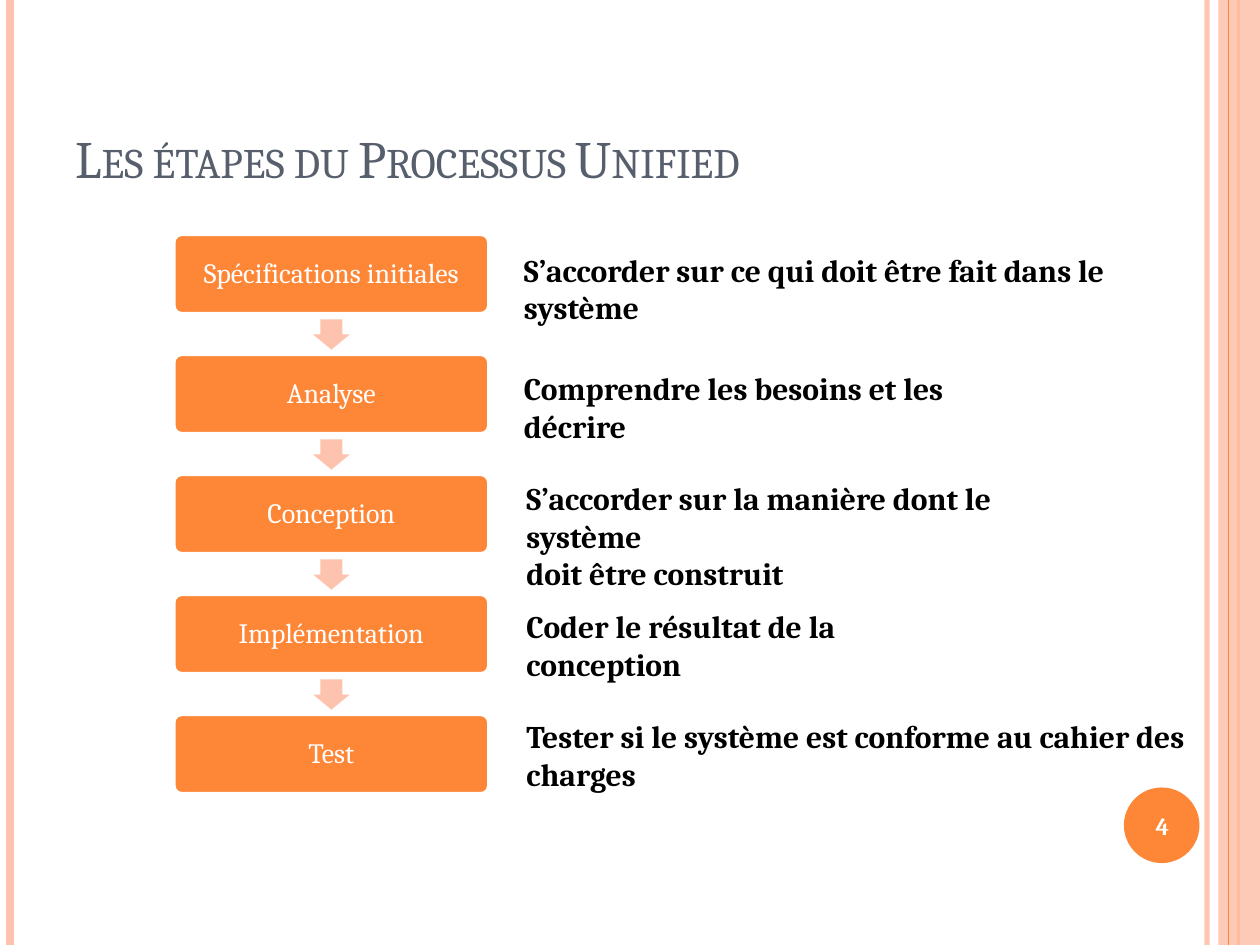
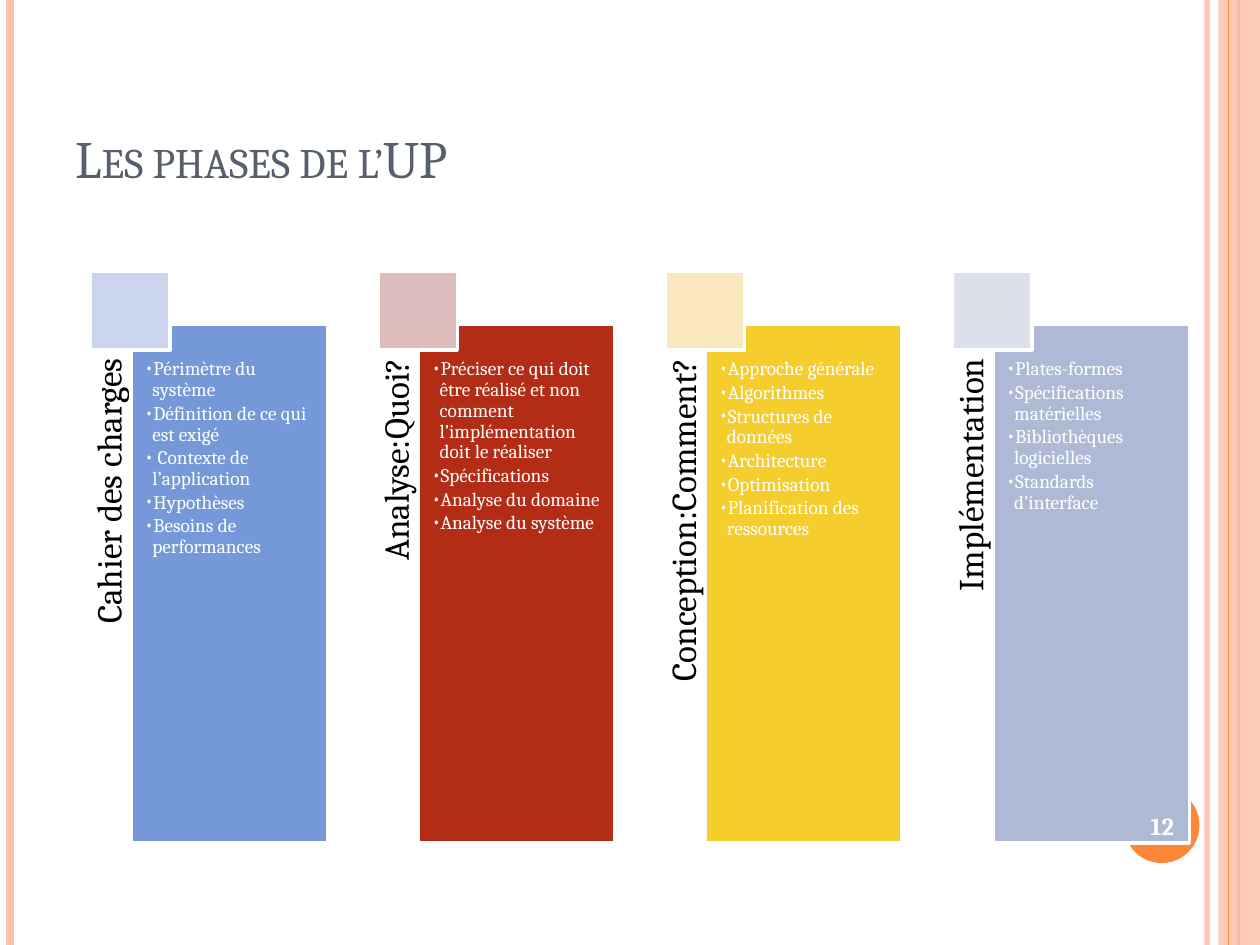
import lxml.etree
import pptx
import pptx.dml.color
import pptx.enum.shapes
import pptx.enum.text
import pptx.oxml.ns
import pptx.util

Inches = pptx.util.Inches
Pt = pptx.util.Pt
rgb = pptx.dml.color.RGBColor.from_string
qn = pptx.oxml.ns.qn
Shape = pptx.enum.shapes.MSO_SHAPE
Anchor = pptx.enum.text.MSO_ANCHOR
Align = pptx.enum.text.PP_ALIGN

FONT = "Cambria"
ORANGE = "FE8637"
PEACH = "FEC3AE"
SLATE = "575F6D"
WHITE = "FFFFFF"
BLACK = "000000"

title_format = {
    "frame": {"vertical_anchor": Anchor.BOTTOM},
    "font": {"size": Pt(30)},
}
number_format = {
    "frame": {"vertical_anchor": Anchor.MIDDLE},
    "paragraph": {"alignment": Align.CENTER},
    "font": {"size": Pt(14), "bold": True},
}
step_format = {
    "frame": {"vertical_anchor": Anchor.MIDDLE},
    "paragraph": {"alignment": Align.CENTER, "line_spacing": 0.9},
    "font": {"size": Pt(16)},
}
goal_format = {"font": {"size": Pt(18), "bold": True}}
phase_format = {
    "frame": {"margin_left": 0, "margin_top": 0,
              "margin_right": Inches(0.28), "margin_bottom": 0},
    "paragraph": {"alignment": Align.RIGHT, "line_spacing": 0.9},
    "font": {"size": Pt(20)},
}
topic_format = {
    "frame": {"vertical_anchor": Anchor.TOP, "margin_left": Inches(0.11),
              "margin_top": Inches(0.28), "margin_right": Inches(0.11),
              "margin_bottom": Inches(0.11)},
    "paragraph": {"alignment": Align.LEFT, "line_spacing": 0.9,
                  "space_after": Pt(1.65), "level": 1},
    "font": {"size": Pt(11)},
}


def add_block(slide, geometry, box, fill, outline=None):
    block = slide.shapes.add_shape(geometry, *map(Inches, box))
    block.shadow.inherit = False
    block.fill.solid()
    block.fill.fore_color.rgb = rgb(fill)
    if outline:
        block.line.color.rgb = rgb(outline)
        block.line.width = Pt(2)
    else:
        block.line.fill.background()
    return block


def write(holder, lines, color, formats):
    frame = holder.text_frame
    frame.word_wrap = True
    for key, value in formats.get("frame", {}).items():
        setattr(frame, key, value)
    for index, line in enumerate(lines):
        paragraph = frame.add_paragraph() if index else frame.paragraphs[0]
        run = paragraph.add_run()
        run.text = line
        run.font.name = FONT
        run.font.color.rgb = rgb(color)
        for key, value in formats.get("paragraph", {}).items():
            setattr(paragraph, key, value)
        for key, value in formats["font"].items():
            setattr(run.font, key, value)
    return frame


deck = pptx.Presentation()
deck.slide_width = Inches(10)
deck.slide_height = Inches(7.5)

slides = []
for heading in ["Les étapes du Processus Unified", "Les phases de l’UP"]:
    slide = deck.slides.add_slide(deck.slide_layouts[6])
    slides.append(slide)

    rails = []
    for x, color, width in [(9.58, PEACH, 3), (0.08, PEACH, 4.5),
                            (9.83, ORANGE, 1.5), (9.75, ORANGE, 0.75)]:
        rail = slide.shapes.add_connector(
            pptx.enum.shapes.MSO_CONNECTOR.STRAIGHT,
            Inches(x), 0, Inches(x), deck.slide_height)
        rail.line.color.rgb = rgb(color)
        rail.line.width = Pt(width)
        lxml.etree.SubElement(rail._element.spPr, qn("a:effectLst"))
        rails.append(rail)

    band = add_block(slide, Shape.RECTANGLE, (9.67, 0, 0.33, 7.5), PEACH)
    rails[-1]._element.addprevious(band._element)
    for part, opacity in [(rails[0], "93000"), (band, "87000")]:
        part_color = part._element.spPr.find(".//" + qn("a:srgbClr"))
        lxml.etree.SubElement(part_color, qn("a:alpha"), val=opacity)
    add_block(slide, Shape.OVAL, (8.92, 6.25, 0.6, 0.6), ORANGE)

    title = slide.shapes.add_textbox(*map(Inches, (0.5, 0.3, 8.17, 1.25)))
    title_text = write(title, [heading], SLATE, title_format)
    title_text.paragraphs[0].runs[0]._r.get_or_add_rPr().set("cap", "small")

steps_slide, phases_slide = slides

steps = ["Spécifications initiales", "Analyse", "Conception",
         "Implémentation", "Test"]
step_pitch = 3.81 / 4
for index, step in enumerate(steps):
    top = 1.86 + index * step_pitch
    step_block = add_block(steps_slide, Shape.ROUNDED_RECTANGLE,
                           (1.38, top, 2.5, 0.63), ORANGE, WHITE)
    step_block.adjustments[0] = 0.1
    write(step_block, [step], WHITE, step_format)
    if index < len(steps) - 1:
        arrow = add_block(steps_slide, Shape.RIGHT_ARROW,
                          (2.51, top + 0.65, 0.24, 0.29), PEACH)
        arrow.rotation = 90
        arrow.adjustments[0] = 0.6

goals = [
    ((4.06, 1.94, 5.41, 0.4),
     ["S’accorder sur ce qui doit être fait dans le système"]),
    ((4.06, 2.88, 4.1, 0.4), ["Comprendre les besoins et les décrire"]),
    ((4.08, 3.75, 4.53, 0.71),
     ["S’accorder sur la manière dont le système", "doit être construit"]),
    ((4.08, 4.77, 3.71, 0.4), ["Coder le résultat de la conception"]),
    ((4.08, 5.64, 5.8, 0.71),
     ["Tester si le système est conforme au cahier des charges"]),
]
for box, goal in goals:
    write(steps_slide.shapes.add_textbox(*map(Inches, box)), goal, BLACK,
          goal_format)

phases = [
    ("Cahier des charges", "7598D9", "CAD4ED",
     ["Périmètre du système", "Définition de ce qui est exigé",
      " Contexte de l’application", "Hypothèses",
      "Besoins de performances"]),
    ("Analyse:Quoi?", "B32C16", "DDBEBD",
     ["Préciser ce qui doit être réalisé et non comment "
      "l’implémentation doit le réaliser",
      "Spécifications", "Analyse du domaine", "Analyse du système"]),
    ("Conception:Comment?", "F5CD2D", "FAE8BE",
     ["Approche générale", "Algorithmes", "Structures de données",
      "Architecture", "Optimisation", "Planification des ressources"]),
    ("Implémentation", "AEBAD5", "DBE0EB",
     ["Plates-formes", "Spécifications matérielles",
      "Bibliothèques logicielles", "Standards d’interface"]),
]
for index, (phase, column_color, tab_color, topics) in enumerate(phases):
    left = 0.72 + index * 2.28
    label = phases_slide.shapes.add_textbox(
        *map(Inches, (left - 1.9, 4.47, 4.12, 0.31)))
    label.rotation = 270
    write(label, [phase], BLACK, phase_format)

    column = add_block(phases_slide, Shape.RECTANGLE,
                       (left + 0.32, 2.57, 1.56, 4.12), column_color, WHITE)
    for paragraph in write(column, topics, WHITE, topic_format).paragraphs:
        properties = paragraph._p.get_or_add_pPr()
        properties.set("marL", str(Inches(0.06)))
        properties.set("indent", str(Inches(-0.06)))
        lxml.etree.SubElement(properties, qn("a:buFont"), typeface=FONT)
        lxml.etree.SubElement(properties, qn("a:buChar"), char="•")

    add_block(phases_slide, Shape.RECTANGLE, (left, 2.15, 0.63, 0.63),
              tab_color, WHITE)

for slide, number in zip(slides, ["4", "12"]):
    page = slide.shapes.add_textbox(*map(Inches, (8.89, 6.27, 0.67, 0.57)))
    write(page, [number], WHITE, number_format)

deck.save("out.pptx")
